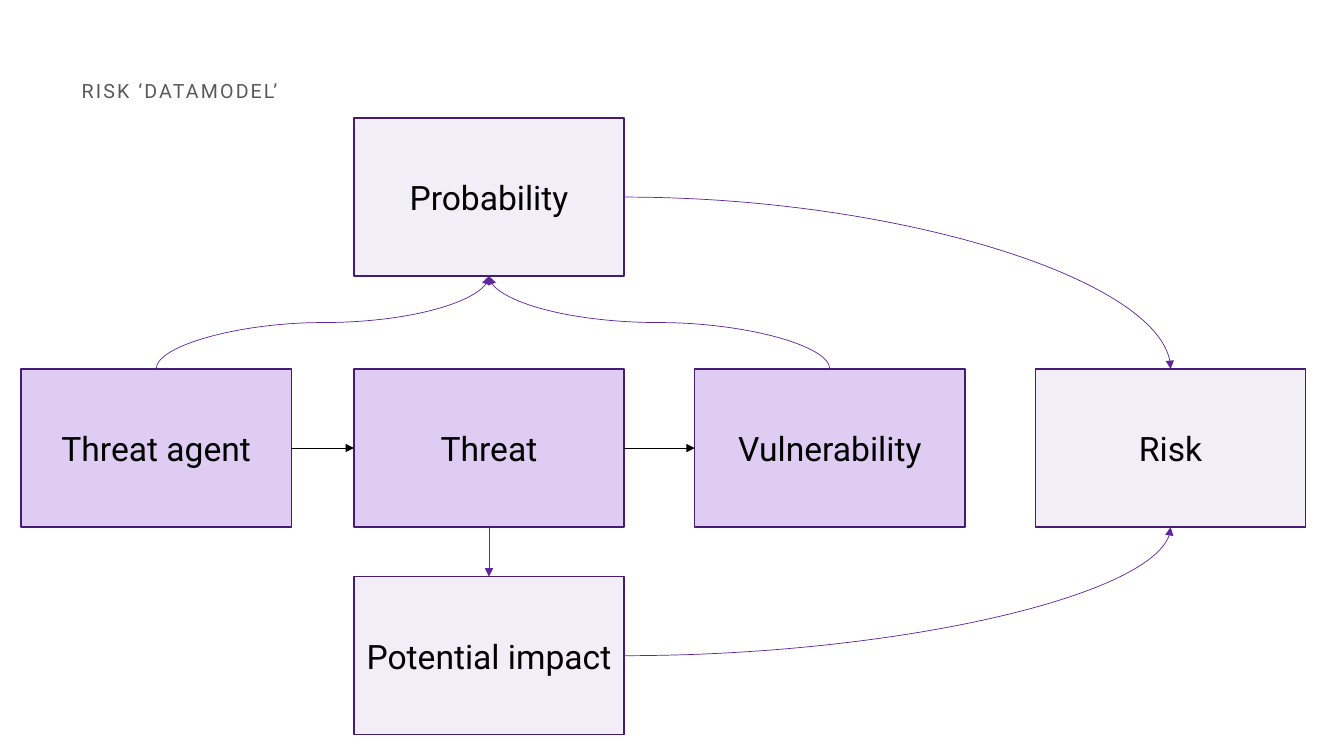
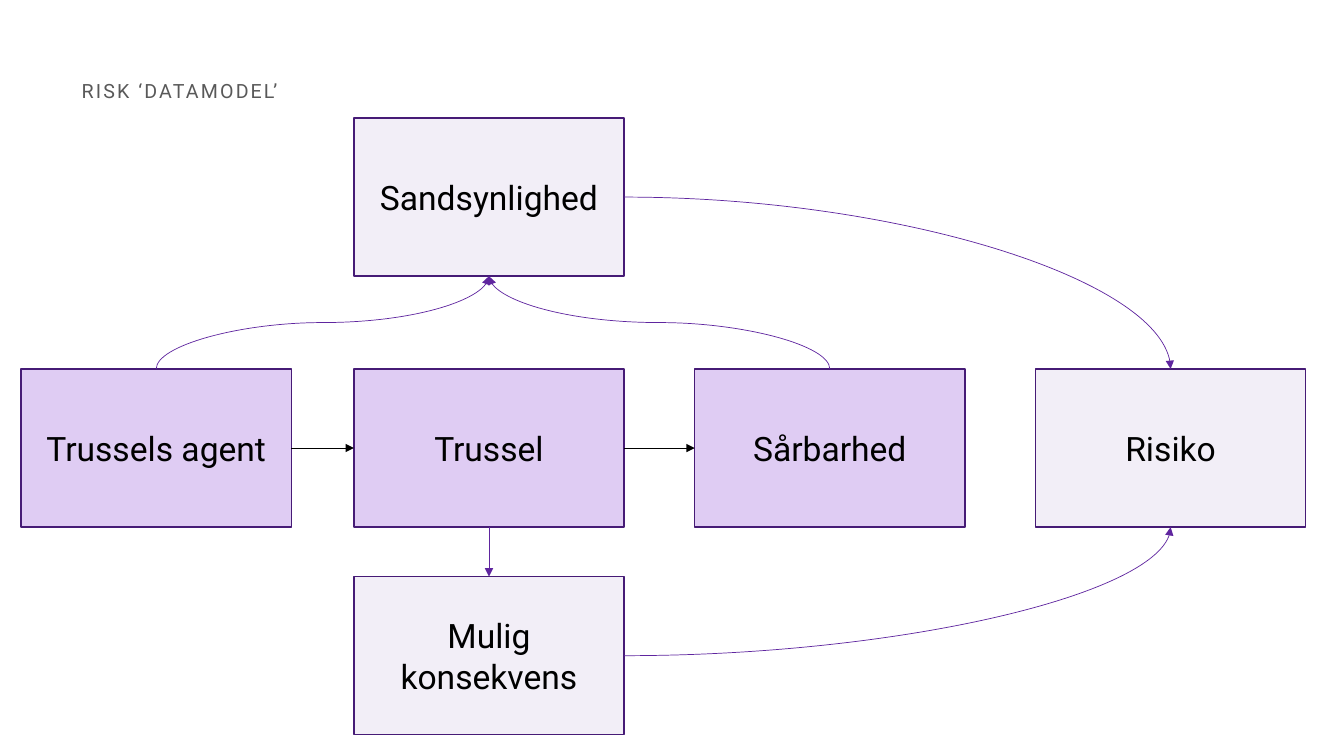
from dataclasses import dataclass

import pptx
import pptx.dml.color
import pptx.enum.shapes
import pptx.enum.text
import pptx.oxml
import pptx.oxml.ns
import pptx.presentation
import pptx.shapes.autoshape
import pptx.shapes.connector
import pptx.slide
import pptx.util

EMU_PER_PX = 9144  # 100 px to the inch
FONT = "Roboto"
TITLE = "RISK ‘DATAMODEL’"
COLORS = {
    "title": "595959",
    "label": "000000",
    "cause": "DFCCF3",
    "outcome": "F2EEF7",
    "border": "461B76",
    "influence": "5F259F",
    "sequence": "000000",
}
BOX_WIDTH, BOX_HEIGHT = 268, 157
COLUMNS = (21, 351, 689, 1027)
ROWS = (117, 366, 572)
TOP, LEFT, BOTTOM, RIGHT = range(4)  # connection sites of a rectangle


@dataclass(frozen=True)
class Concept:
    key: str
    column: int
    row: int
    color: str


@dataclass(frozen=True)
class Relation:
    source: str
    source_site: int
    target: str
    target_site: int
    color: str = "influence"
    route: str = "straight"


CONCEPTS = (
    Concept("threat", 1, 1, "cause"),
    Concept("vulnerability", 2, 1, "cause"),
    Concept("agent", 0, 1, "cause"),
    Concept("risk", 3, 1, "outcome"),
    Concept("probability", 1, 0, "outcome"),
    Concept("impact", 1, 2, "outcome"),
)
RELATIONS = (
    Relation("agent", TOP, "probability", BOTTOM, route="s_curve"),
    Relation("vulnerability", TOP, "probability", BOTTOM, route="s_curve"),
    Relation("threat", BOTTOM, "impact", TOP),
    Relation("probability", RIGHT, "risk", TOP, route="quarter_curve"),
    Relation("impact", RIGHT, "risk", BOTTOM, route="quarter_curve"),
    Relation("agent", RIGHT, "threat", LEFT, "sequence"),
    Relation("threat", RIGHT, "vulnerability", LEFT, "sequence"),
)
ENGLISH = {
    "threat": "Threat",
    "vulnerability": "Vulnerability",
    "agent": "Threat agent",
    "risk": "Risk",
    "probability": "Probability",
    "impact": "Potential impact",
}
DANISH = {
    "threat": "Trussel",
    "vulnerability": "Sårbarhed",
    "agent": "Trussels agent",
    "risk": "Risiko",
    "probability": "Sandsynlighed",
    "impact": "Mulig konsekvens",
}


def px(length: int) -> int:
    return pptx.util.Emu(length * EMU_PER_PX)


def rgb(name: str) -> pptx.dml.color.RGBColor:
    return pptx.dml.color.RGBColor.from_string(COLORS[name])


def format_font(font, size: int, color: str) -> None:
    font.name = FONT
    font.size = pptx.util.Pt(size)
    font.color.rgb = rgb(color)


def set_title(slide: pptx.slide.Slide) -> None:
    title = slide.shapes.title
    title.left, title.top, title.width, title.height = map(px, (71, 76, 1189, 66))
    frame = title.text_frame
    frame.text = TITLE
    frame.auto_size = pptx.enum.text.MSO_AUTO_SIZE.NONE
    frame.vertical_anchor = pptx.enum.text.MSO_ANCHOR.TOP
    paragraph = frame.paragraphs[0]
    paragraph.alignment = pptx.enum.text.PP_ALIGN.LEFT
    paragraph.line_spacing = 0.9
    run = paragraph.runs[0]
    format_font(run.font, 14, "title")
    run.font._element.set("spc", "150")


def draw_concept(
    slide: pptx.slide.Slide, concept: Concept, label: str
) -> pptx.shapes.autoshape.Shape:
    box = slide.shapes.add_shape(
        pptx.enum.shapes.MSO_SHAPE.RECTANGLE,
        px(COLUMNS[concept.column]),
        px(ROWS[concept.row]),
        px(BOX_WIDTH),
        px(BOX_HEIGHT),
    )
    box.shadow.inherit = False
    box.fill.solid()
    box.fill.fore_color.rgb = rgb(concept.color)
    box.line.color.rgb = rgb("border")
    box.line.width = pptx.util.Pt(1)
    frame = box.text_frame
    frame.word_wrap = True
    frame.vertical_anchor = pptx.enum.text.MSO_ANCHOR.MIDDLE
    frame.text = label
    paragraph = frame.paragraphs[0]
    paragraph.alignment = pptx.enum.text.PP_ALIGN.CENTER
    format_font(paragraph.runs[0].font, 24, "label")
    return box


def turn_upright(arrow: pptx.shapes.connector.Connector) -> None:
    """Rotate a rising curve so that it leaves and arrives vertically."""
    center_x = arrow.left + arrow.width // 2
    center_y = arrow.top + arrow.height // 2
    leftward = arrow.end_x < arrow.begin_x
    arrow.width, arrow.height = arrow.height, arrow.width
    arrow.left = center_x - arrow.width // 2
    arrow.top = center_y - arrow.height // 2
    transform = arrow._element.spPr.find(pptx.oxml.ns.qn("a:xfrm"))
    transform.set("rot", "16200000")
    transform.set("flipH", "0")
    transform.set("flipV", "1" if leftward else "0")


def draw_relation(
    slide: pptx.slide.Slide,
    relation: Relation,
    boxes: dict[str, pptx.shapes.autoshape.Shape],
) -> None:
    kinds = pptx.enum.shapes.MSO_CONNECTOR
    kind = kinds.STRAIGHT if relation.route == "straight" else kinds.CURVE
    arrow = slide.shapes.add_connector(kind, 0, 0, 0, 0)
    arrow.begin_connect(boxes[relation.source], relation.source_site)
    arrow.end_connect(boxes[relation.target], relation.target_site)
    arrow.line.color.rgb = rgb(relation.color)
    arrow.line.width = pptx.util.Pt(0.5)
    properties = arrow._element.spPr
    outline = properties.find(pptx.oxml.ns.qn("a:ln"))
    namespace = pptx.oxml.ns.nsdecls("a")
    outline.append(pptx.oxml.parse_xml(f'<a:tailEnd {namespace} type="triangle"/>'))
    properties.append(pptx.oxml.parse_xml(f"<a:effectLst {namespace}/>"))
    if relation.route == "quarter_curve":
        geometry = properties.find(pptx.oxml.ns.qn("a:prstGeom"))
        geometry.set("prst", "curvedConnector2")
    elif relation.route == "s_curve":
        turn_upright(arrow)


def add_risk_model(
    presentation: pptx.presentation.Presentation, labels: dict[str, str]
) -> None:
    slide = presentation.slides.add_slide(presentation.slide_layouts[5])
    set_title(slide)
    boxes = {
        concept.key: draw_concept(slide, concept, labels[concept.key])
        for concept in CONCEPTS
    }
    for relation in RELATIONS:
        draw_relation(slide, relation, boxes)


def main() -> None:
    presentation = pptx.Presentation()
    presentation.slide_width = px(1333)
    presentation.slide_height = px(750)
    for labels in (ENGLISH, DANISH):
        add_risk_model(presentation, labels)
    presentation.save("out.pptx")


if __name__ == "__main__":
    main()
